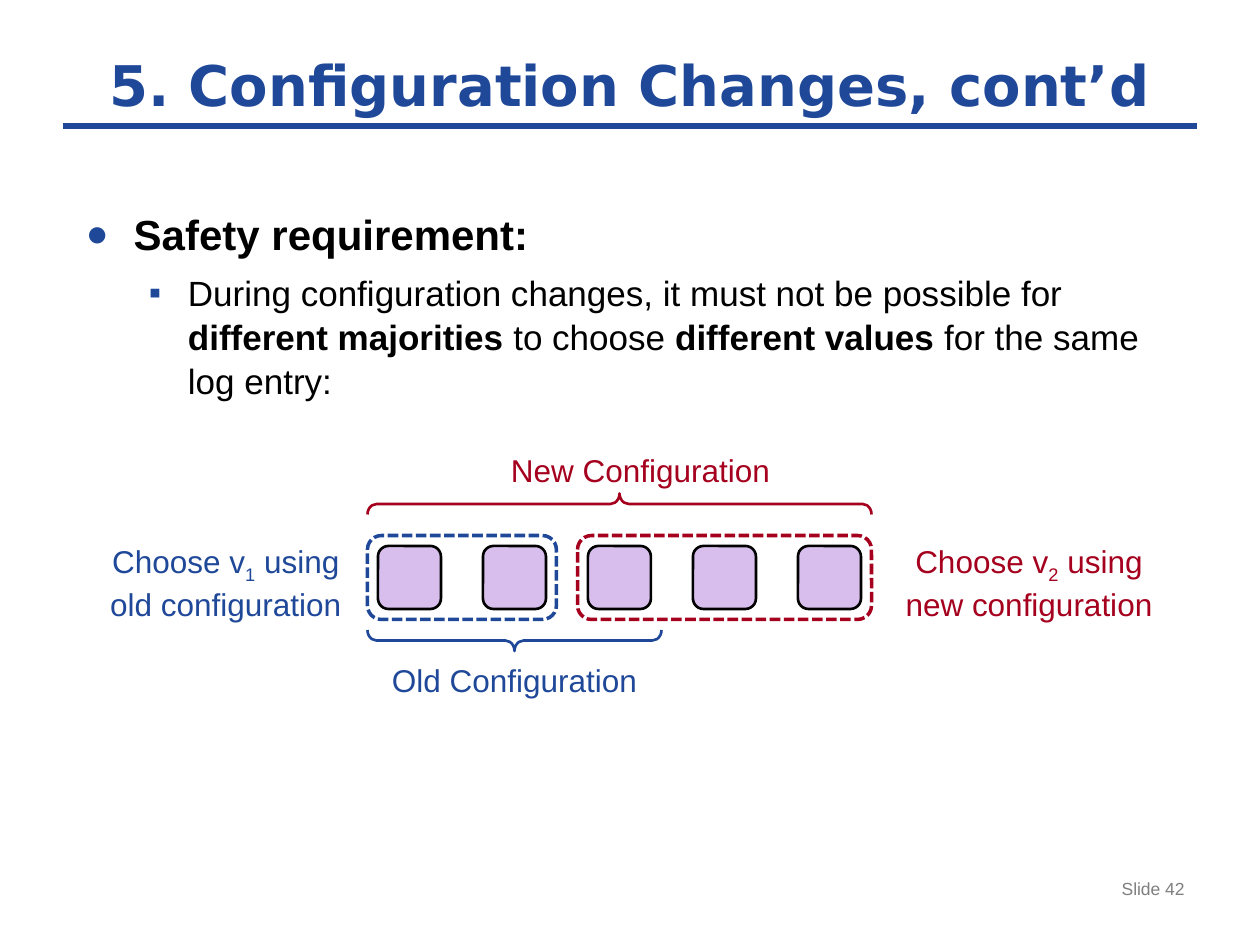
import pptx
import pptx.dml.color
import pptx.enum.dml
import pptx.enum.shapes
import pptx.enum.text
import pptx.oxml
import pptx.oxml.ns
import pptx.util

THEME = {
    "blue": "1F4899", "red": "A5001E", "violet": "D8BEEC", "black": "000000", "gray": "7F7F7F",
    "title": 32, "heading": 24, "body": 20, "label": 18, "footer": 10,
    "title_font": "DejaVu Sans", "font": "Arial",
}
ALIGN = pptx.enum.text.PP_ALIGN
SHAPE = pptx.enum.shapes.MSO_SHAPE

TITLE = "5. Configuration Changes, cont’d"
FOOTER = "Slide 42"
BULLETS = [
    {"runs": [("Safety requirement:", "bold")], "size": "heading", "before": 12,
     "margin": 0.38, "hang": 0.38, "mark": "●", "scale": 90, "level": 0},
    {"runs": [("During configuration changes, it must not be possible for ", ""),
              ("different majorities ", "bold"), ("to choose ", ""),
              ("different values ", "bold"), ("for the same log entry:", "")],
     "size": "body", "before": 6, "margin": 0.81, "hang": 0.31, "mark": "▪", "scale": 100, "level": 1},
]
SERVER_COUNT = 5
BRACES = [
    {"first": 0, "last": 2, "row": 60, "turn": 270, "color": "blue"},
    {"first": 0, "last": 4, "row": 47, "turn": 90, "color": "red"},
]
MAJORITIES = [
    {"first": 2, "last": 4, "color": "red"},
    {"first": 0, "last": 1, "color": "blue"},
]
BRACE_LABELS = [
    ("Old Configuration", "blue", (35, 63, 28, 3.6)),
    ("New Configuration", "red", (47, 43, 28, 3.6)),
]
CHOICES = [
    ("2", "new configuration", "red", (83, 51, 30, 8.5)),
    ("1", "old configuration", "blue", (9, 51, 25, 8.5)),
]

COLUMNS, ROWS = 120, 90
SERVER_LEFT, SERVER_TOP, SERVER_SIZE, SERVER_STEP, PAD = 36, 52, 6, 10, 1
BRACE_DEPTH = 2

presentation = pptx.Presentation()
presentation.slide_width = pptx.util.Inches(10)
presentation.slide_height = pptx.util.Inches(7.5)
slide = presentation.slides.add_slide(presentation.slide_layouts[5])


def place(left, top, width, height):
    column = presentation.slide_width / COLUMNS
    row = presentation.slide_height / ROWS
    return [round(value) for value in (left * column, top * row, width * column, height * row)]


def color_of(name):
    return pptx.dml.color.RGBColor.from_string(THEME[name])


def apply(target, values):
    for name, value in values.items():
        setattr(target, name, value)


def add_run(paragraph, text, size, color, bold=False, font="font"):
    run = paragraph.add_run()
    run.text = text
    apply(run.font, {"size": pptx.util.Pt(THEME[size]), "name": THEME[font], "bold": bold})
    run.font.color.rgb = color_of(color)
    return run


def add_text(box, align=ALIGN.LEFT, inset=None):
    frame = slide.shapes.add_textbox(*place(*box)).text_frame
    frame.word_wrap = True
    if inset is not None:
        apply(frame, dict.fromkeys(("margin_left", "margin_top", "margin_right", "margin_bottom"), inset))
    frame.paragraphs[0].alignment = align
    return frame


def add_outline(kind, box, color, width, fill=None, dash=None):
    shape = slide.shapes.add_shape(kind, *place(*box))
    shape.shadow.inherit = False
    if fill:
        shape.fill.solid()
        shape.fill.fore_color.rgb = color_of(fill)
    else:
        shape.fill.background()
    shape.line.color.rgb = color_of(color)
    apply(shape.line, {"width": pptx.util.Pt(width), "dash_style": dash})
    return shape


def server_span(first, last):
    left = SERVER_LEFT + first * SERVER_STEP - PAD
    return left, (last - first) * SERVER_STEP + SERVER_SIZE + 2 * PAD


def add_bullet(paragraph, item):
    apply(paragraph, {"level": item["level"], "space_before": pptx.util.Pt(item["before"]),
                      "line_spacing": 1.05})
    properties = paragraph._p.get_or_add_pPr()
    properties.set("marL", str(pptx.util.Inches(item["margin"])))
    properties.set("indent", str(-pptx.util.Inches(item["hang"])))
    namespace = pptx.oxml.ns.nsdecls("a")
    for xml in (
        f'<a:buClr {namespace}><a:srgbClr val="{THEME["blue"]}"/></a:buClr>',
        f'<a:buSzPct {namespace} val="{item["scale"] * 1000}"/>',
        f'<a:buFont {namespace} typeface="{THEME["font"]}"/>',
        f'<a:buChar {namespace} char="{item["mark"]}"/>',
    ):
        properties.append(pptx.oxml.parse_xml(xml))
    for text, weight in item["runs"]:
        add_run(paragraph, text, item["size"], "black", weight == "bold")


left, top, width, height = place(6, 12, 108, 0)
rule = slide.shapes.add_connector(
    pptx.enum.shapes.MSO_CONNECTOR.STRAIGHT, left, top, left + width, top)
rule.line.color.rgb = color_of("blue")
rule.line.width = pptx.util.Pt(4)
rule._element.spPr.append(pptx.oxml.parse_xml(f'<a:effectLst {pptx.oxml.ns.nsdecls("a")}/>'))

title = slide.shapes.title
apply(title, dict(zip(("left", "top", "width", "height"), place(6, 4, 108, 8))))
apply(title.text_frame, {"word_wrap": True, "auto_size": pptx.enum.text.MSO_AUTO_SIZE.NONE,
                         "vertical_anchor": pptx.enum.text.MSO_ANCHOR.MIDDLE})
title.text_frame.paragraphs[0].alignment = ALIGN.CENTER
add_run(title.text_frame.paragraphs[0], TITLE, "title", "blue", True, "title_font")

body = add_text((7, 19, 108, 60.4))
for index, item in enumerate(BULLETS):
    add_bullet(body.add_paragraph() if index else body.paragraphs[0], item)

footer = add_text((86, 83, 28, 5.2), ALIGN.RIGHT)
add_run(footer.paragraphs[0], FOOTER, "footer", "gray")

for index in range(SERVER_COUNT):
    box = (SERVER_LEFT + index * SERVER_STEP, SERVER_TOP, SERVER_SIZE, SERVER_SIZE)
    add_outline(SHAPE.ROUNDED_RECTANGLE, box, "black", 1.5, "violet")

for brace in BRACES:
    left, length = server_span(brace["first"], brace["last"])
    middle = left + length / 2
    box = (middle - BRACE_DEPTH / 2, brace["row"] + BRACE_DEPTH / 2 - length / 2, BRACE_DEPTH, length)
    shape = add_outline(SHAPE.LEFT_BRACE, box, brace["color"], 1.5)
    shape.rotation = brace["turn"]
    shape.adjustments[0] = 0.43

for text, color, box in BRACE_LABELS:
    add_run(add_text(box, ALIGN.CENTER, 0).paragraphs[0], text, "label", color)

for number, configuration, color, box in CHOICES:
    paragraph = add_text(box, ALIGN.CENTER).paragraphs[0]
    add_run(paragraph, "Choose v", "label", color)
    subscript = add_run(paragraph, number, "label", color)
    subscript.font._element.set("baseline", "-25000")
    add_run(paragraph, " using", "label", color)
    paragraph.add_line_break()
    add_run(paragraph, configuration, "label", color)

for majority in MAJORITIES:
    left, width = server_span(majority["first"], majority["last"])
    add_outline(SHAPE.ROUNDED_RECTANGLE, (left, SERVER_TOP - PAD, width, SERVER_SIZE + 2 * PAD),
                majority["color"], 2, dash=pptx.enum.dml.MSO_LINE.SQUARE_DOT)

presentation.save("out.pptx")
